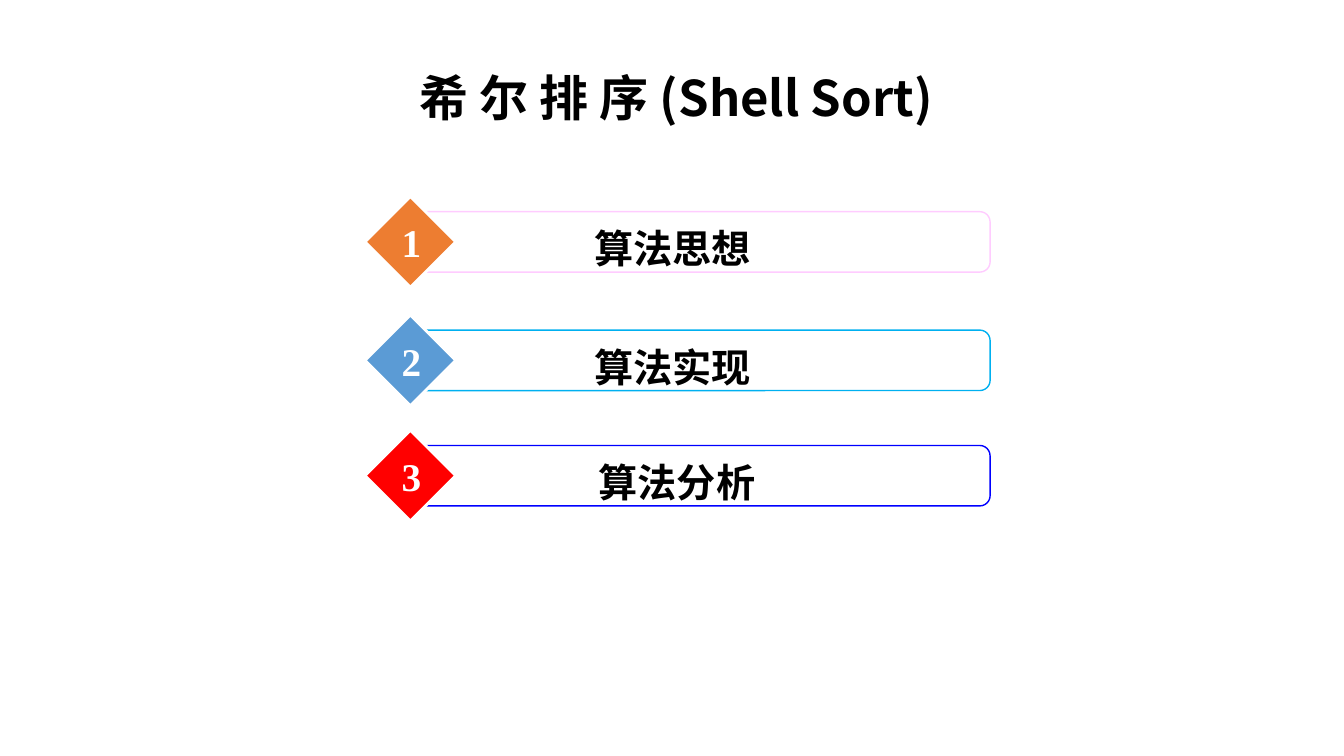
from typing import NamedTuple

from lxml.etree import SubElement
from pptx import Presentation
from pptx.dml.color import RGBColor
from pptx.enum.shapes import MSO_SHAPE
from pptx.enum.text import MSO_ANCHOR, MSO_AUTO_SIZE, PP_ALIGN
from pptx.oxml.ns import qn
from pptx.util import Inches, Pt

WIDE, HIGH = Inches(13.33), Inches(7.5)
SANS, SERIF = "Noto Sans CJK SC", "Times New Roman"
COLORS = {
    "black": "000000", "white": "FFFFFF", "pink": "FFCCFF", "orange": "ED7D31",
    "cyan": "00B0F0", "blue": "5B9BD5", "navy": "0000FF", "red": "FF0000",
}


class Box(NamedTuple):
    """Place and size in percent of the slide's width and height."""
    left: float
    top: float
    width: float
    height: float

    def drop(self, top: float) -> "Box":
        return self._replace(top=self.top + top)

    def size(self) -> tuple:
        return (int(WIDE * self.left / 100), int(HIGH * self.top / 100),
                int(WIDE * self.width / 100), int(HIGH * self.height / 100))


class Item(NamedTuple):
    top: float
    text: str
    edge: str
    fill: str


TITLE = Box(2.48, 8, 95.65, 10.67)
# Parts of an item, measured from its top
BAR = Box(30.91, 2, 42.76, 8)
GEM = Box(27.16, 0, 6.75, 12)
LABEL = Box(33.16, 3.07, 33.76, 7.6)
DIGIT = Box(29.11, 2.27, 3, 7.6)

ITEMS = [
    Item(26, "算法思想", "pink", "orange"),
    Item(41.67, "算法实现", "cyan", "blue"),
    Item(56.93, " 算法分析", "navy", "red"),
]


def shade(name: str) -> RGBColor:
    return RGBColor.from_string(COLORS[name])


def write(frame, text: str, size: float, font: str, color: str) -> None:
    frame.text = text
    para = frame.paragraphs[0]
    para.alignment = PP_ALIGN.CENTER
    run = para.runs[0]
    run.font.size = Pt(size)
    run.font.bold = True
    run.font.name = font
    run.font.color.rgb = shade(color)
    SubElement(run.font._element, qn("a:ea"), typeface=SANS)


def draw(group, kind: MSO_SHAPE, box: Box, fill: str, edge: str, width: float):
    shape = group.shapes.add_shape(kind, *box.size())
    shape.shadow.inherit = False
    shape.fill.solid()
    shape.fill.fore_color.rgb = shade(fill)
    shape.line.color.rgb = shade(edge)
    shape.line.width = Pt(width)
    return shape


def label(group, box: Box, text: str, color: str, wrap: bool) -> None:
    frame = group.shapes.add_textbox(*box.size()).text_frame
    frame.word_wrap = wrap
    frame.auto_size = MSO_AUTO_SIZE.SHAPE_TO_FIT_TEXT
    write(frame, text, 28, SERIF, color)


def add_item(slide, item: Item, rank: int) -> None:
    group = slide.shapes.add_group_shape()
    bar = draw(group, MSO_SHAPE.ROUNDED_RECTANGLE, BAR.drop(item.top),
               "white", item.edge, 1)
    bar.adjustments[0] = 0.17
    draw(group, MSO_SHAPE.DIAMOND, GEM.drop(item.top), item.fill, "white", 2)
    label(group, LABEL.drop(item.top), item.text, "black", True)
    label(group, DIGIT.drop(item.top), str(rank), "white", False)


def add_title(slide, text: str) -> None:
    title = slide.shapes.title
    title.left, title.top, title.width, title.height = TITLE.size()
    frame = title.text_frame
    frame.auto_size = MSO_AUTO_SIZE.NONE
    frame.vertical_anchor = MSO_ANCHOR.MIDDLE
    write(frame, text, 35, SANS, "black")
    frame.paragraphs[0].line_spacing = 0.9


def main() -> None:
    deck = Presentation()
    deck.slide_width, deck.slide_height = WIDE, HIGH
    slide = deck.slides.add_slide(deck.slide_layouts.get_by_name("Title Only"))
    add_title(slide, "希 尔 排 序 (Shell Sort)")
    for rank, item in enumerate(ITEMS, 1):
        add_item(slide, item, rank)
    deck.save("out.pptx")


if __name__ == "__main__":
    main()
